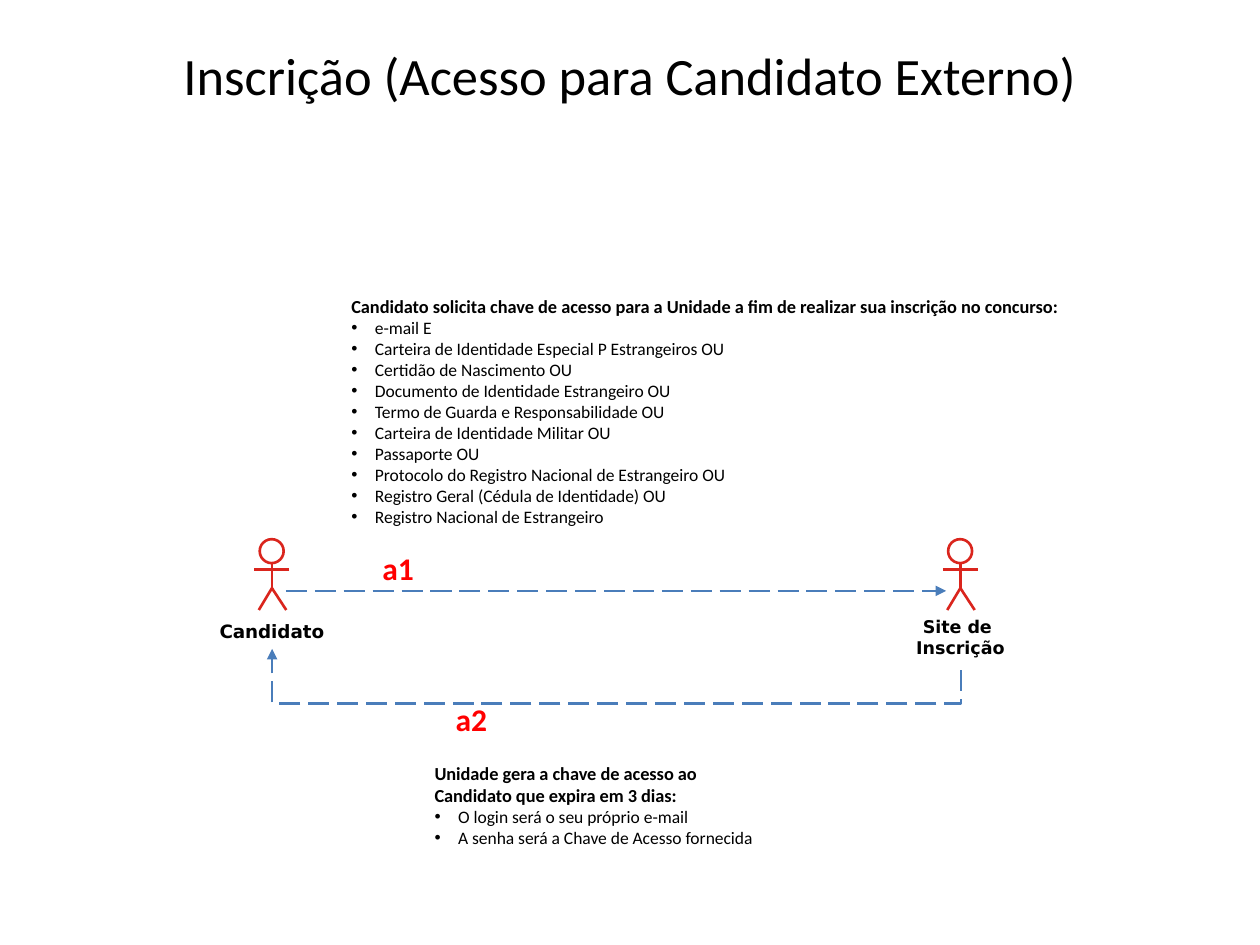
from lxml import etree
from pptx import Presentation
from pptx.dml.color import RGBColor
from pptx.enum import dml, shapes, text
from pptx.oxml import ns
from pptx.util import Pt

BLACK = RGBColor(0, 0, 0)
WHITE = RGBColor(255, 255, 255)
RED = RGBColor(255, 0, 0)
ACTOR_RED = RGBColor(0xDA, 0x25, 0x1D)
BLUE = RGBColor(0x4A, 0x7D, 0xBA)
LEFT, CENTER = text.PP_ALIGN.LEFT, text.PP_ALIGN.CENTER
STRAIGHT, ELBOW = shapes.MSO_CONNECTOR.STRAIGHT, shapes.MSO_CONNECTOR.ELBOW

REQUEST_ITEMS = [
    "e-mail E",
    "Carteira de Identidade Especial P Estrangeiros OU",
    "Certidão de Nascimento OU",
    "Documento de Identidade Estrangeiro OU",
    "Termo de Guarda e Responsabilidade OU",
    "Carteira de Identidade Militar OU",
    "Passaporte OU",
    "Protocolo do Registro Nacional de Estrangeiro OU",
    "Registro Geral (Cédula de Identidade) OU",
    "Registro Nacional de Estrangeiro",
]
KEY_ITEMS = [
    "O login será o seu próprio e-mail",
    "A senha será a Chave de Acesso fornecida",
]


def add_xml(parent, tag, **attrs):
    return etree.SubElement(parent, ns.qn(tag), attrs)


def write(p, content, size, font="Calibri", color=BLACK, bold=False,
          align=LEFT, bullet=False):
    p.alignment = align
    if bullet:
        pPr = p._p.get_or_add_pPr()
        pPr.set("marL", str(Pt(13.5)))
        pPr.set("indent", str(-Pt(13.5)))
        add_xml(pPr, "a:buFont", typeface="Arial")
        add_xml(pPr, "a:buChar", char="•")
    r = p.add_run()
    r.text = content
    r.font.name, r.font.size, r.font.bold = font, Pt(size), bold
    r.font.color.rgb = color


def add_box(s, x, y, w, h, lines, anchor=text.MSO_ANCHOR.TOP, **fmt):
    tf = s.shapes.add_textbox(Pt(x), Pt(y), Pt(w), Pt(h)).text_frame
    tf.word_wrap = True
    tf.vertical_anchor = anchor
    for i, line in enumerate(lines):
        write(tf.paragraphs[0] if i == 0 else tf.add_paragraph(), line, **fmt)
    return tf


def add_line(s, kind, x1, y1, x2, y2, color):
    cxn = s.shapes.add_connector(kind, Pt(x1), Pt(y1), Pt(x2), Pt(y2))
    cxn.line.color.rgb = color
    cxn.line.width = Pt(1.5)
    add_xml(cxn._element.spPr, "a:effectLst")
    return cxn


def add_flow(s, x1, y1, x2, y2):
    cxn = add_line(s, ELBOW, x1, y1, x2, y2, BLUE)
    cxn.line.dash_style = dml.MSO_LINE.LONG_DASH
    add_xml(cxn.line._get_or_add_ln(), "a:tailEnd", type="triangle")
    return cxn


def add_return_flow(s, x1, y1, x2, y2, drop):
    """Leave (x1, y1) downwards, run left, rise to (x2, y2)."""
    w, h = y1 - y2, x1 - x2
    cx, cy = (x1 + x2) / 2, (y1 + y2) / 2
    cxn = add_flow(s, cx - w / 2, cy - h / 2, cx + w / 2, cy + h / 2)
    spPr = cxn._element.spPr
    xfrm = spPr.find(ns.qn("a:xfrm"))
    xfrm.set("rot", "5400000")
    xfrm.set("flipH", "1")
    geom = spPr.find(ns.qn("a:prstGeom"))
    for old in list(geom):
        geom.remove(old)
    add_xml(add_xml(geom, "a:avLst"), "a:gd", name="adj1",
            fmla=f"val {round(-drop / w * 100000)}")


def add_actor(s, cx, top, label, label_top, label_w, label_h, size):
    # Head
    sp = s.shapes.add_shape(shapes.MSO_SHAPE.OVAL, Pt(cx - 7), Pt(top),
                            Pt(13.7), Pt(13.7))
    sp.shadow.inherit = False
    sp.fill.solid()
    sp.fill.fore_color.rgb = WHITE
    sp.line.color.rgb = ACTOR_RED
    sp.line.width = Pt(1.5)
    # Trunk, arms and legs
    neck, arm, hip, foot = 13.7, 17.3, 28, 40.5
    for dx1, dy1, dx2, dy2 in [(0, neck, 0, hip), (-10, arm, 0, arm),
                               (10, arm, 0, arm), (0, hip, -7.5, foot),
                               (0, hip, 8.2, foot)]:
        add_line(s, STRAIGHT, cx + dx1, top + dy1, cx + dx2, top + dy2,
                 ACTOR_RED)
    # Name
    add_box(s, cx - label_w / 2, top + label_top, label_w, label_h, label,
            size=size, font="DejaVu Sans", bold=True, align=CENTER)


def add_note(s, x, y, w, h, heading, items):
    tf = add_box(s, x, y, w, h, [heading], size=10.5, bold=True)
    for item in items:
        write(tf.add_paragraph(), item, 10, bullet=True)


def add_step(s, x, y, w, name):
    add_box(s, x, y, w, 29, [name], size=18, color=RED, bold=True, align=CENTER)


def main():
    prs = Presentation()
    prs.slide_width, prs.slide_height = Pt(720), Pt(540)
    s = prs.slides.add_slide(prs.slide_layouts[6])

    # Title
    add_box(s, 36, 21.6, 648, 41.8, ["Inscrição (Acesso para Candidato Externo)"],
            anchor=text.MSO_ANCHOR.MIDDLE, size=30, align=CENTER)

    # Return of the key, below the actors
    add_note(s, 241.2, 432, 202.3, 75,
             "Unidade gera a chave de acesso ao Candidato que expira em 3 dias:",
             KEY_ITEMS)
    add_step(s, 250.6, 396.7, 37.4, "a2")

    # Request, above the actors
    add_note(s, 193.7, 164.9, 427, 142,
             "Candidato solicita chave de acesso para a Unidade a fim de "
             "realizar sua inscrição no concurso:", REQUEST_ITEMS)
    add_flow(s, 163.4, 337.7, 540.7, 337.7)
    add_return_flow(s, 549.2, 383, 155.5, 370.8, drop=18.9)
    add_step(s, 211, 310.3, 33.1, "a1")

    # Actors
    add_actor(s, 548.8, 308.1, ["Site de ", "Inscrição"], 40.4, 77, 34.6, 10)
    add_actor(s, 155.4, 308.1, ["Candidato"], 42.5, 75, 20.2, 10.5)

    prs.save("out.pptx")


if __name__ == "__main__":
    main()
